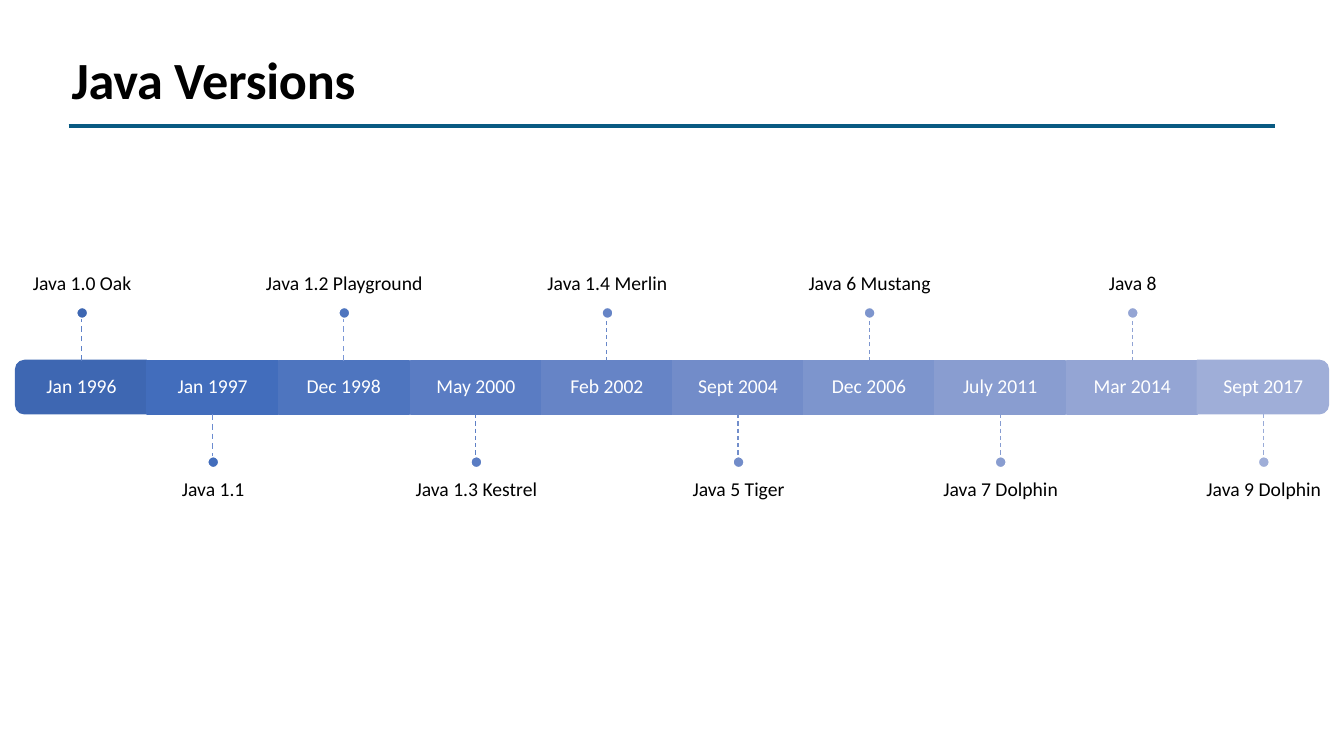
from pptx import Presentation
from pptx.dml.color import RGBColor
from pptx.enum.dml import MSO_LINE
from pptx.enum.shapes import MSO_CONNECTOR, MSO_SHAPE
from pptx.enum.text import MSO_ANCHOR, MSO_AUTO_SIZE, PP_ALIGN
from pptx.oxml.ns import qn
from pptx.util import Pt
from lxml import etree

PX = 9144  # EMU per px, 100 px to the inch
FONT = "Calibri"
BLACK = RGBColor(0x00, 0x00, 0x00)
WHITE = RGBColor(0xFF, 0xFF, 0xFF)
TEAL = RGBColor(0x09, 0x5A, 0x82)

RECT, DOT, ROUND_END = MSO_SHAPE.RECTANGLE, MSO_SHAPE.OVAL, MSO_SHAPE.ROUND_2_SAME_RECTANGLE
STRAIGHT, DASH = MSO_CONNECTOR.STRAIGHT, MSO_LINE.DASH
TOP, MIDDLE, BOTTOM = MSO_ANCHOR.TOP, MSO_ANCHOR.MIDDLE, MSO_ANCHOR.BOTTOM
LEFT, CENTER = PP_ALIGN.LEFT, PP_ALIGN.CENTER
GROW = MSO_AUTO_SIZE.SHAPE_TO_FIT_TEXT
SITE_TOP, SITE_BOTTOM = 0, 2

# Timeline bar
BAR_TOP, BAR_H, CELL_W = 358, 53, 130
FIRST_CENTER, PITCH = 81, 130.2
DOT_SIZE, LABEL_W, LABEL_H, PAD = 11, 217, 185, 12

# Date, version, cell colour, stem colour
RELEASES = [
    ("Jan 1996", "Java 1.0 Oak", RGBColor(0x3E, 0x67, 0xB2), RGBColor(0x5D, 0x81, 0xC9)),
    ("Jan 1997", "Java 1.1", RGBColor(0x42, 0x6D, 0xBC), RGBColor(0x6C, 0x8C, 0xD0)),
    ("Dec 1998", "Java 1.2 Playground", RGBColor(0x4E, 0x75, 0xBF), RGBColor(0x7B, 0x97, 0xD6)),
    ("May 2000", "Java 1.3 Kestrel", RGBColor(0x5A, 0x7C, 0xC3), RGBColor(0x5E, 0x80, 0xC5)),
    ("Feb 2002", "Java 1.4 Merlin", RGBColor(0x66, 0x84, 0xC6), RGBColor(0x68, 0x87, 0xC8)),
    ("Sept 2004", "Java 5 Tiger", RGBColor(0x72, 0x8C, 0xC9), RGBColor(0x72, 0x8E, 0xCB)),
    ("Dec 2006", "Java 6 Mustang", RGBColor(0x7D, 0x95, 0xCD), RGBColor(0x7C, 0x95, 0xCE)),
    ("July 2011", "Java 7 Dolphin", RGBColor(0x89, 0x9D, 0xD0), RGBColor(0x86, 0x9C, 0xD1)),
    ("Mar 2014", "Java 8", RGBColor(0x94, 0xA5, 0xD4), RGBColor(0x90, 0xA3, 0xD4)),
    ("Sept 2017", "Java 9 Dolphin", RGBColor(0x9F, 0xAE, 0xD8), RGBColor(0x99, 0xAB, 0xD8)),
]


def px(*lengths):
    return [round(n * PX) for n in lengths]


def set_margins(tf, left, top, right, bottom):
    tf.margin_left, tf.margin_top, tf.margin_right, tf.margin_bottom = px(left, top, right, bottom)


def style_text(p, size, color, align, bold=False):
    p.alignment = align
    for r in p.runs:
        r.font.name, r.font.size, r.font.bold = FONT, Pt(size), bold
        r.font.color.rgb = color


def add_title(s, text):
    sp = s.shapes.title
    sp.left, sp.top, sp.width, sp.height = px(69, 44, 365, 65)
    tf = sp.text_frame
    tf.text = text
    tf.vertical_anchor, tf.auto_size = MIDDLE, GROW
    set_margins(tf, 0, 2, 0, 0)
    p = tf.paragraphs[0]
    p.space_before = Pt(1.3)
    style_text(p, 37.3, BLACK, LEFT, bold=True)
    p.runs[0].font._element.set("spc", "-20")
    p._p.get_or_add_pPr().set("marL", str(2 * PX))


def add_text(s, box, text, color, anchor, margins):
    sp = s.shapes.add_textbox(*px(*box))
    tf = sp.text_frame
    tf.text = text
    tf.word_wrap, tf.vertical_anchor = True, anchor
    set_margins(tf, *margins)
    p = tf.paragraphs[0]
    p.line_spacing = 0.9
    style_text(p, 14, color, CENTER)
    return sp


def add_block(s, kind, box, fill, line, rotation=0):
    sp = s.shapes.add_shape(kind, *px(*box))
    sp.shadow.inherit = False
    sp.fill.solid()
    sp.fill.fore_color.rgb = fill
    sp.line.color.rgb = line
    sp.line.width = Pt(1)
    sp.rotation = rotation


def add_line(s, ends, color, width):
    cx = s.shapes.add_connector(STRAIGHT, *px(*ends))
    cx.line.color.rgb = color
    cx.line.width = Pt(width)
    etree.SubElement(cx._element.spPr, qn("a:effectLst"))
    return cx


def add_release(s, i, date, version, color, stem_color):
    center = round(FIRST_CENTER + i * PITCH)
    cell = (center - CELL_W // 2, BAR_TOP, CELL_W, BAR_H)

    # Bar cell: the two ends are turned so their round corners face outwards
    if i in (0, len(RELEASES) - 1):
        end = (center - 27, 319, BAR_H, CELL_W)
        add_block(s, ROUND_END, end, color, color, rotation=90 if i else 270)
    else:
        add_block(s, RECT, cell, color, color)
    date_box = add_text(s, cell, date, WHITE, MIDDLE, (PAD, PAD, PAD, PAD))

    # Versions alternate above and below the bar
    if i % 2 == 0:
        site, stem_end, dot_top = SITE_TOP, 315, 305
        label_top, anchor, margins = 119, BOTTOM, (0, 0, 0, PAD)
    else:
        site, stem_end, dot_top = SITE_BOTTOM, 453, 453
        label_top, anchor, margins = 464, TOP, (0, PAD, 0, 0)
    label = (center - LABEL_W // 2, label_top, LABEL_W, LABEL_H)
    add_text(s, label, version, BLACK, anchor, margins)

    # Stem and dot
    stem = add_line(s, (center, BAR_TOP, center, stem_end), stem_color, 1 if i < 3 else 0.75)
    stem.line.dash_style = DASH
    stem.begin_connect(date_box, site)
    dot = (center - DOT_SIZE // 2, dot_top, DOT_SIZE, DOT_SIZE)
    add_block(s, DOT, dot, color, WHITE)


def main():
    prs = Presentation()
    prs.slide_width, prs.slide_height = px(1333, 750)
    s = prs.slides.add_slide(prs.slide_layouts[5])
    add_title(s, "Java Versions")
    for i, release in enumerate(RELEASES):
        add_release(s, i, *release)
    # Rule under the title
    add_line(s, (68, 125, 1265, 125), TEAL, 2.28)
    prs.save("out.pptx")


if __name__ == "__main__":
    main()
